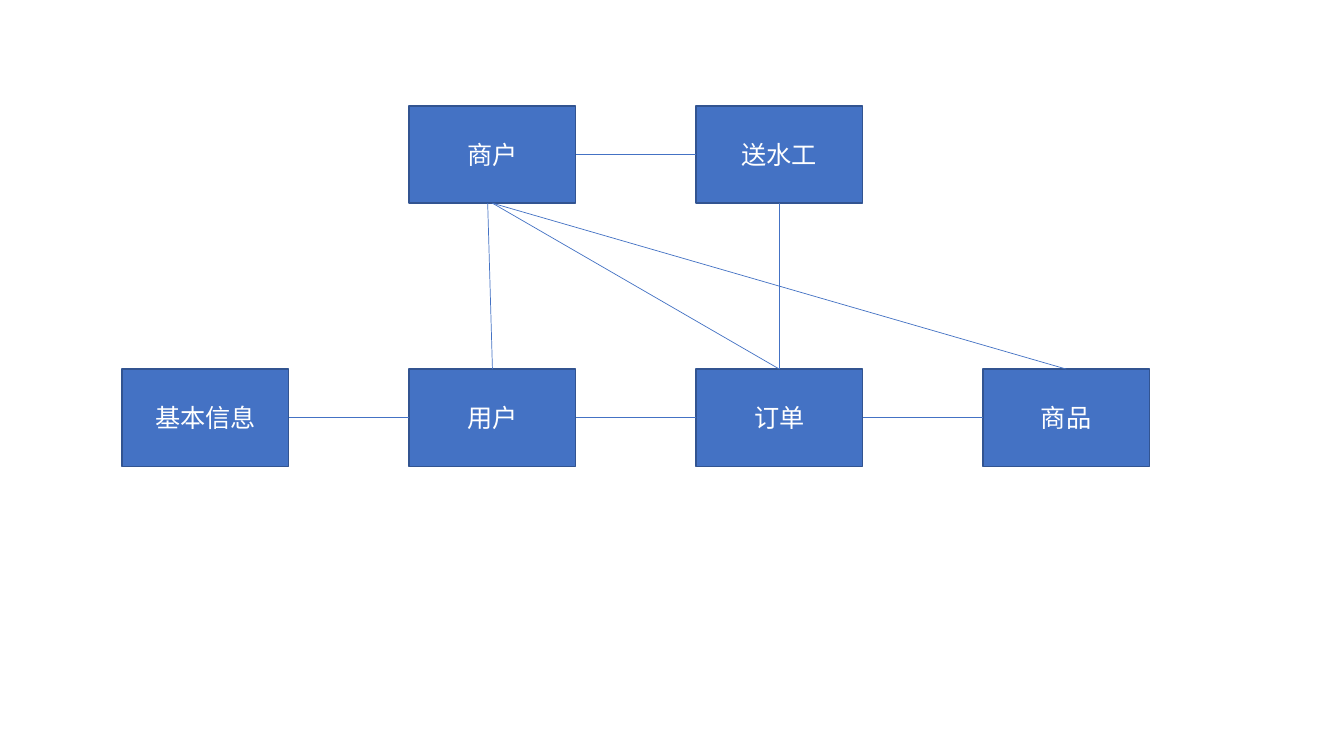
"""Build the entity relationship slide of a water delivery service."""
from dataclasses import dataclass
from enum import IntEnum

from lxml.etree import SubElement
from pptx import Presentation
from pptx.dml.color import RGBColor
from pptx.enum.shapes import MSO_CONNECTOR, MSO_SHAPE
from pptx.enum.text import MSO_ANCHOR, PP_ALIGN
from pptx.oxml.ns import qn
from pptx.shapes.autoshape import Shape
from pptx.shapes.connector import Connector
from pptx.slide import Slide
from pptx.util import Cm, Pt

FONT = "Noto Sans CJK SC"
BLUE, DARK_BLUE, WHITE = "4472C4", "325491", "FFFFFF"
LEFT, COLUMN_STEP = 3.08, 7.23
ROW_TOPS = (2.67, 9.3)
BOX_WIDTH, BOX_HEIGHT = 4.2, 2.45


class Side(IntEnum):
    """Connection sites of a rectangle."""

    TOP = 0
    LEFT = 1
    BOTTOM = 2
    RIGHT = 3


@dataclass(frozen=True)
class Entity:
    """A labelled box at a grid position."""

    label: str
    column: int
    row: int


@dataclass(frozen=True)
class Relation:
    """A line between two boxes, with an optional shift of its start in cm."""

    start: str
    start_side: Side
    end: str
    end_side: Side
    shift: float = 0


ENTITIES = (
    Entity("商户", 1, 0),
    Entity("送水工", 2, 0),
    Entity("基本信息", 0, 1),
    Entity("用户", 1, 1),
    Entity("订单", 2, 1),
    Entity("商品", 3, 1),
)
RELATIONS = (
    Relation("商户", Side.BOTTOM, "用户", Side.TOP, shift=-0.12),
    Relation("商户", Side.BOTTOM, "订单", Side.TOP),
    Relation("商户", Side.BOTTOM, "商品", Side.TOP),
    Relation("商户", Side.RIGHT, "送水工", Side.LEFT),
    Relation("订单", Side.TOP, "送水工", Side.BOTTOM),
    Relation("基本信息", Side.RIGHT, "用户", Side.LEFT),
    Relation("用户", Side.RIGHT, "订单", Side.LEFT),
    Relation("商品", Side.LEFT, "订单", Side.RIGHT),
)


def color(value: str) -> RGBColor:
    """Turn a hex string into a colour."""
    return RGBColor.from_string(value)


def style_line(shape: Shape | Connector, value: str, points: float) -> None:
    """Set the colour and width of an outline or connector."""
    shape.line.color.rgb = color(value)
    shape.line.width = Pt(points)


def draw_entity(page: Slide, entity: Entity) -> Shape:
    """Draw one box with its centred label."""
    box = page.shapes.add_shape(
        MSO_SHAPE.RECTANGLE,
        Cm(LEFT + entity.column * COLUMN_STEP),
        Cm(ROW_TOPS[entity.row]),
        Cm(BOX_WIDTH),
        Cm(BOX_HEIGHT),
    )
    box.shadow.inherit = False
    box.fill.solid()
    box.fill.fore_color.rgb = color(BLUE)
    style_line(box, DARK_BLUE, 1)
    box.text_frame.vertical_anchor = MSO_ANCHOR.MIDDLE
    para = box.text_frame.paragraphs[0]
    para.alignment = PP_ALIGN.CENTER
    span = para.add_run()
    span.text = entity.label
    span.font.color.rgb = color(WHITE)
    for name, value in {"name": FONT, "size": Pt(18)}.items():
        setattr(span.font, name, value)
    SubElement(span._r.get_or_add_rPr(), qn("a:ea"), typeface=FONT)
    return box


def draw_relation(page: Slide, relation: Relation, boxes: dict[str, Shape]) -> None:
    """Draw one line, glued to its boxes unless its start is shifted."""
    line = page.shapes.add_connector(MSO_CONNECTOR.STRAIGHT, 0, 0, 0, 0)
    start = boxes[relation.start]
    if relation.shift:
        line.begin_x = start.left + start.width // 2 + Cm(relation.shift)
        line.begin_y = start.top + start.height
    else:
        line.begin_connect(start, relation.start_side.value)
    line.end_connect(boxes[relation.end], relation.end_side.value)
    style_line(line, BLUE, 0.5)
    SubElement(line._element.spPr, qn("a:effectLst"))


def main() -> None:
    """Build and save the deck."""
    deck = Presentation()
    deck.slide_width, deck.slide_height = Cm(33.87), Cm(19.05)
    page = deck.slides.add_slide(deck.slide_layouts.get_by_name("Blank"))
    boxes = {entity.label: draw_entity(page, entity) for entity in ENTITIES}
    for relation in RELATIONS:
        draw_relation(page, relation, boxes)
    deck.save("out.pptx")


main()
